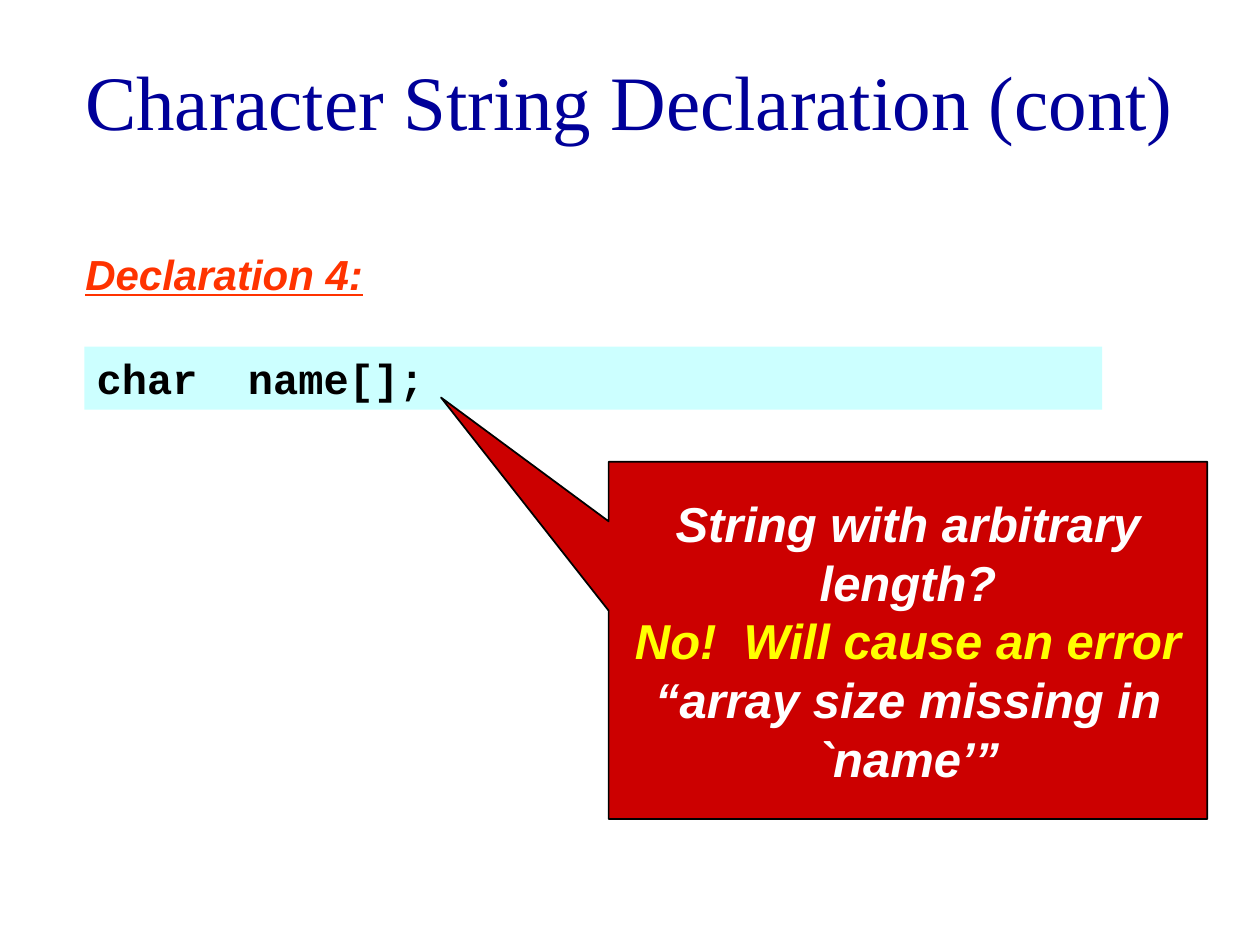
from dataclasses import dataclass

import pptx
import pptx.dml.color
import pptx.enum.shapes
import pptx.enum.text
import pptx.util
from pptx.enum.shapes import MSO_SHAPE
from pptx.enum.text import MSO_ANCHOR, PP_ALIGN
from pptx.util import Cm


@dataclass(frozen=True)
class Theme:
    navy: str = "000099"
    orange: str = "FF3300"
    cyan: str = "CCFFFF"
    red: str = "CC0000"
    yellow: str = "FFFF00"
    white: str = "FFFFFF"
    black: str = "000000"
    title_size: int = 44
    body_size: int = 24
    callout_size: int = 28


@dataclass(frozen=True)
class Style:
    font: str
    size: int
    bold: bool = False
    italic: bool = False
    underline: bool = False


@dataclass(frozen=True)
class Line:
    text: str
    color: str


@dataclass(frozen=True)
class Block:
    left: float
    top: float
    width: float
    height: float
    lines: tuple[Line, ...]
    style: Style
    align: PP_ALIGN = PP_ALIGN.LEFT
    anchor: MSO_ANCHOR = MSO_ANCHOR.TOP
    preset: MSO_SHAPE | None = None
    fill: str | None = None
    outline: str | None = None
    adjustments: tuple[float, ...] = ()


THEME = Theme()

BLOCKS = (
    # Title
    Block(0.53, 1.07, 24.33, 1.9,
          (Line("Character String Declaration (cont)", THEME.navy),),
          Style("Times New Roman", THEME.title_size),
          PP_ALIGN.CENTER, MSO_ANCHOR.MIDDLE),
    # Heading
    Block(1.47, 4.88, 6.55, 1.27,
          (Line("Declaration 4:", THEME.orange),),
          Style("Arial", THEME.body_size, bold=True, italic=True, underline=True)),
    # Code bar
    Block(1.7, 6.99, 20.52, 1.27,
          (Line("char  name[];", THEME.black),),
          Style("Courier New", THEME.body_size, bold=True),
          preset=MSO_SHAPE.RECTANGLE, fill=THEME.cyan),
    # Callout pointing at the empty brackets
    Block(12.27, 9.31, 12.07, 7.2,
          (Line("String with arbitrary length?", THEME.white),
           Line("No!  Will cause an error", THEME.yellow),
           Line("“array size missing in `name’”", THEME.white)),
          Style("Arial", THEME.callout_size, bold=True, italic=True),
          PP_ALIGN.CENTER, MSO_ANCHOR.MIDDLE,
          MSO_SHAPE.RECTANGULAR_CALLOUT, THEME.red, THEME.black, (-0.78, -0.68)),
)


def rgb(value: str) -> pptx.dml.color.RGBColor:
    return pptx.dml.color.RGBColor.from_string(value)


def paint(shape, block: Block) -> None:
    shape.shadow.inherit = False
    shape.fill.solid()
    shape.fill.fore_color.rgb = rgb(block.fill)
    if block.outline:
        shape.line.color.rgb = rgb(block.outline)
        shape.line.width = pptx.util.Pt(1)
    else:
        shape.line.fill.background()
    for index, value in enumerate(block.adjustments):
        shape.adjustments[index] = value


def write(text_frame, block: Block) -> None:
    text_frame.text = "\n".join(line.text for line in block.lines)
    text_frame.word_wrap = True
    text_frame.vertical_anchor = block.anchor
    for paragraph, line in zip(text_frame.paragraphs, block.lines):
        paragraph.alignment = block.align
        for run in paragraph.runs:
            run.font.name = block.style.font
            run.font.size = pptx.util.Pt(block.style.size)
            run.font.bold = block.style.bold
            run.font.italic = block.style.italic
            run.font.underline = block.style.underline
            run.font.color.rgb = rgb(line.color)


def draw(slide, block: Block) -> None:
    bounds = [Cm(value) for value in (block.left, block.top, block.width, block.height)]
    if block.preset is None:
        shape = slide.shapes.add_textbox(*bounds)
    else:
        shape = slide.shapes.add_shape(block.preset, *bounds)
        paint(shape, block)
    write(shape.text_frame, block)


def main() -> None:
    presentation = pptx.Presentation()
    presentation.slide_width = Cm(25.4)
    presentation.slide_height = Cm(19.05)
    slide = presentation.slides.add_slide(presentation.slide_layouts[6])
    for block in BLOCKS:
        draw(slide, block)
    presentation.save("out.pptx")


if __name__ == "__main__":
    main()
